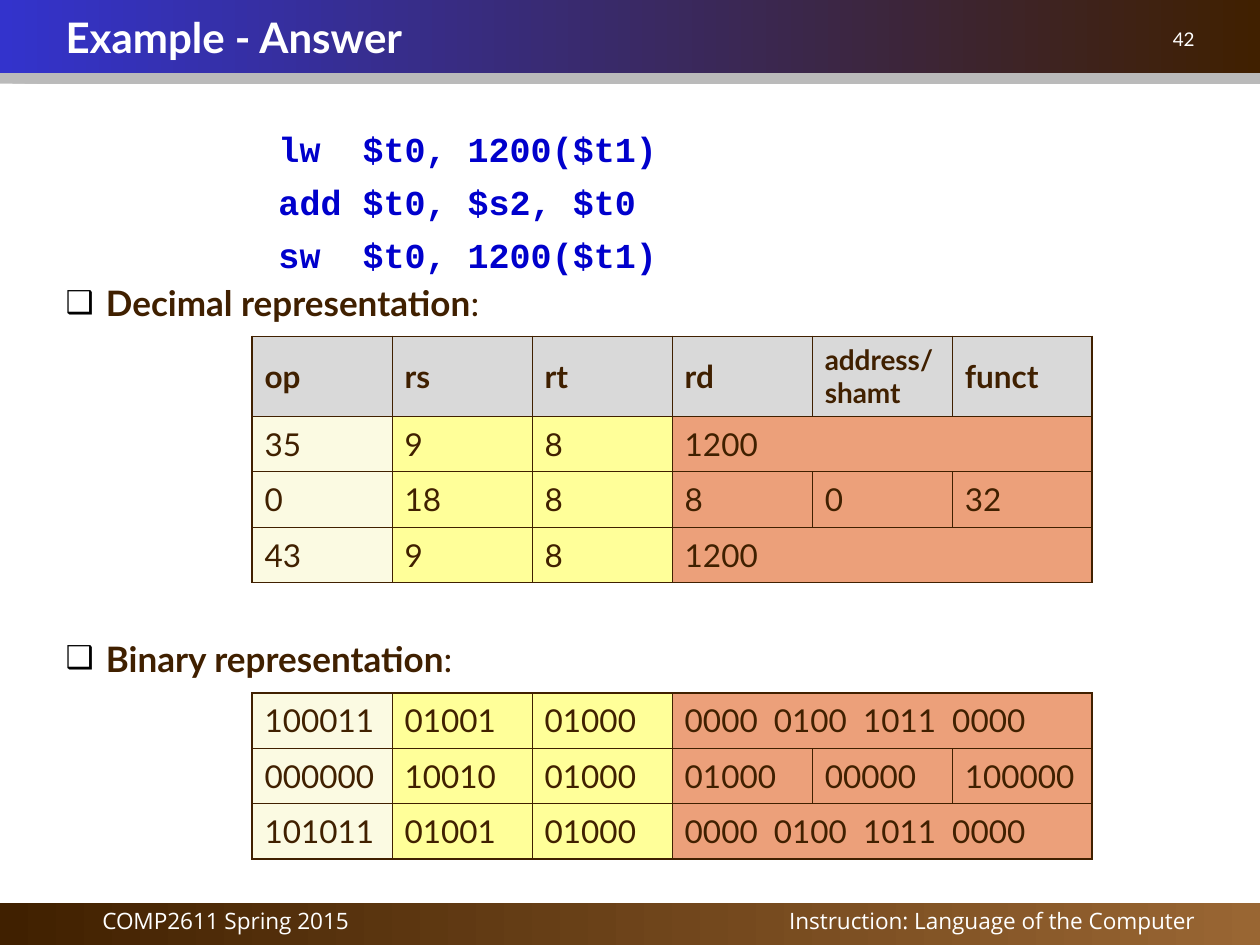
"""Build the instruction encoding answer slide with its decimal and binary tables."""
from dataclasses import dataclass
from typing import Optional

import lxml.etree
import pptx
import pptx.dml.color
import pptx.enum.shapes
import pptx.enum.text
import pptx.oxml
import pptx.oxml.ns
import pptx.util

Inches = pptx.util.Inches
Pt = pptx.util.Pt
Align = pptx.enum.text.PP_ALIGN
Anchor = pptx.enum.text.MSO_ANCHOR

BROWN = "402000"
WHITE = "FFFFFF"
CODE_BLUE = "0000CC"
HEADER_FILL = "D9D9D9"
COLUMN_FILLS = ["FBFAE2", "FFFF99", "FFFF99", "ECA07A", "ECA07A", "ECA07A"]
OUTER_LINE, INNER_LINE = 1.08, 0.45


@dataclass
class Band:
    top: float
    height: float
    start: str
    end: str
    shadow: bool = False


@dataclass
class Label:
    text: str
    left: float
    top: float
    width: float
    size: float
    font: str
    align: Align
    line_spacing: float = 1.0


@dataclass
class BodyLine:
    text: str
    space_before: float
    code: bool = False


@dataclass
class FieldTable:
    top: float
    rows: list[list[Optional[str]]]
    has_header: bool = False


BANDS = [
    Band(7.17, 0.33, BROWN, "996633"),
    Band(0, 0.58, "3333CC", BROWN, shadow=True),
]
LABELS = [
    Label("COMP2611 Spring 2015", 0.25, 7.17, 3.08, 12.9, "Open Sans", Align.CENTER, 0.9),
    Label("Instruction: Language of the Computer", 4.58, 7.17, 5, 12.9, "Open Sans", Align.RIGHT, 0.9),
    Label("42", 7.5, 0.17, 2.08, 10.8, "Lato", Align.RIGHT),
]
BODY_LINES = [
    BodyLine("lw  $t0, 1200($t1)", 0, code=True),
    BodyLine("add $t0, $s2, $t0", 6.4, code=True),
    BodyLine("sw  $t0, 1200($t1)", 6.4, code=True),
    BodyLine("Decimal representation", 3.4),
    BodyLine("Binary representation", 179),
]
TABLES = [
    FieldTable(2.67, [
        ["op", "rs", "rt", "rd", "address/shamt", "funct"],
        ["35", "9", "8", "1200", None, None],
        ["0", "18", "8", "8", "0", "32"],
        ["43", "9", "8", "1200", None, None],
    ], has_header=True),
    FieldTable(5.5, [
        ["100011", "01001", "01000", "0000  0100  1011  0000", None, None],
        ["000000", "10010", "01000", "01000", "00000", "100000"],
        ["101011", "01001", "01000", "0000  0100  1011  0000", None, None],
    ]),
]


def rgb(value: str) -> pptx.dml.color.RGBColor:
    return pptx.dml.color.RGBColor.from_string(value)


def append_xml(parent, xml: str) -> None:
    namespace = pptx.oxml.ns.nsdecls("a")
    parent.append(pptx.oxml.parse_xml(xml.replace(" ", f" {namespace} ", 1)))


def format_font(font, name: str, size: float, color: str, bold: bool = False) -> None:
    font.name, font.size, font.bold = name, Pt(size), bold
    font.color.rgb = rgb(color)


def place(shape, left: float, top: float, width: float, height: float) -> None:
    shape.left, shape.top = Inches(left), Inches(top)
    shape.width, shape.height = Inches(width), Inches(height)


def add_band(slide, band: Band) -> None:
    shape = slide.shapes.add_shape(
        pptx.enum.shapes.MSO_SHAPE.RECTANGLE, 0, Inches(band.top), Inches(10), Inches(band.height))
    shape.fill.gradient()
    shape.fill.gradient_angle = 0
    for stop, color in zip(shape.fill.gradient_stops, (band.start, band.end)):
        stop.color.rgb = rgb(color)
    shape.line.fill.background()
    shape.shadow.inherit = False
    if band.shadow:
        effects = shape.element.spPr.find(pptx.oxml.ns.qn("a:effectLst"))
        append_xml(effects, f'<a:outerShdw blurRad="0" dist="{Pt(6)}" dir="5400000">'
                            '<a:srgbClr val="777777"><a:alpha val="50000"/></a:srgbClr></a:outerShdw>')
    slide.shapes.title.element.addprevious(shape.element)


def add_label(slide, label: Label) -> None:
    box = slide.shapes.add_textbox(
        Inches(label.left), Inches(label.top), Inches(label.width), Inches(0.33))
    box.text_frame.word_wrap = True
    paragraph = box.text_frame.paragraphs[0]
    paragraph.text = label.text
    paragraph.alignment = label.align
    paragraph.line_spacing = label.line_spacing
    format_font(paragraph.font, label.font, label.size, WHITE)


def fill_title(title) -> None:
    place(title, 0.42, 0, 9.17, 0.58)
    title.text_frame.auto_size = pptx.enum.text.MSO_AUTO_SIZE.NONE
    title.text_frame.vertical_anchor = Anchor.MIDDLE
    paragraph = title.text_frame.paragraphs[0]
    paragraph.text = "Example - Answer"
    paragraph.alignment = Align.LEFT
    format_font(paragraph.font, "Lato", 24, WHITE, bold=True)


def fill_body(body) -> None:
    place(body, 0.42, 0.92, 9.17, 6)
    frame = body.text_frame
    frame.auto_size = pptx.enum.text.MSO_AUTO_SIZE.NONE
    frame.margin_top = Inches(0.09)
    for index, line in enumerate(BODY_LINES):
        paragraph = frame.paragraphs[0] if index == 0 else frame.add_paragraph()
        paragraph.add_run().text = line.text
        paragraph.space_before = Pt(line.space_before)
        properties = paragraph._p.get_or_add_pPr()
        margin, indent = (1.94, -0.25) if line.code else (0.32, -0.32)
        properties.set("marL", str(Inches(margin)))
        properties.set("indent", str(Inches(indent)))
        if line.code:
            paragraph.level = 4
            append_xml(properties, "<a:buNone />")
            format_font(paragraph.font, "Courier New", 20, CODE_BLUE, bold=True)
        else:
            append_xml(properties, '<a:buClr ><a:srgbClr val="000000"/></a:buClr>')
            append_xml(properties, '<a:buSzPct val="90000"/>')
            append_xml(properties, '<a:buChar char="❑"/>')
            format_font(paragraph.font, "Lato", 20, BROWN, bold=True)
            colon = paragraph.add_run()
            colon.text = ":"
            colon.font.bold = False


def set_borders(cell, outer: dict[str, bool]) -> None:
    for side, is_outer in outer.items():
        width = Pt(OUTER_LINE if is_outer else INNER_LINE)
        append_xml(cell._tc.get_or_add_tcPr(),
                   f'<a:ln{side} w="{width}"><a:solidFill><a:srgbClr val="{BROWN}"/></a:solidFill></a:ln{side}>')


def add_field_table(slide, field_table: FieldTable) -> None:
    rows, columns = len(field_table.rows), len(COLUMN_FILLS)
    heights = [0.63 if field_table.has_header and row == 0 else 0.44 for row in range(rows)]
    table = slide.shapes.add_table(rows, columns, Inches(2), Inches(field_table.top),
                                   Inches(6.67), Inches(sum(heights))).table
    table.first_row = table.horz_banding = False
    for row, values in enumerate(field_table.rows):
        table.rows[row].height = Inches(heights[row])
        is_header = field_table.has_header and row == 0
        if None in values:
            table.cell(row, values.index(None) - 1).merge(table.cell(row, columns - 1))
        for column, value in enumerate(values):
            cell = table.cell(row, column)
            last_column = column + (cell.span_width if cell.is_merge_origin else 1) == columns
            set_borders(cell, {"L": column == 0, "R": last_column, "T": row == 0, "B": row == rows - 1})
            cell.fill.solid()
            cell.fill.fore_color.rgb = rgb(HEADER_FILL if is_header else COLUMN_FILLS[column])
            if value is None:
                continue
            cell.vertical_anchor = Anchor.MIDDLE
            paragraph = cell.text_frame.paragraphs[0]
            paragraph.text = value
            format_font(paragraph.font, "Lato", 16 if "/" in value else 18, BROWN, is_header)


def main() -> None:
    presentation = pptx.Presentation()
    presentation.slide_width, presentation.slide_height = Inches(10), Inches(7.5)
    slide = presentation.slides.add_slide(presentation.slide_layouts[1])
    for band in BANDS:
        add_band(slide, band)
    fill_title(slide.shapes.title)
    fill_body(slide.placeholders[1])
    for label in LABELS:
        add_label(slide, label)
    for field_table in TABLES:
        add_field_table(slide, field_table)
    presentation.save("out.pptx")


if __name__ == "__main__":
    main()
